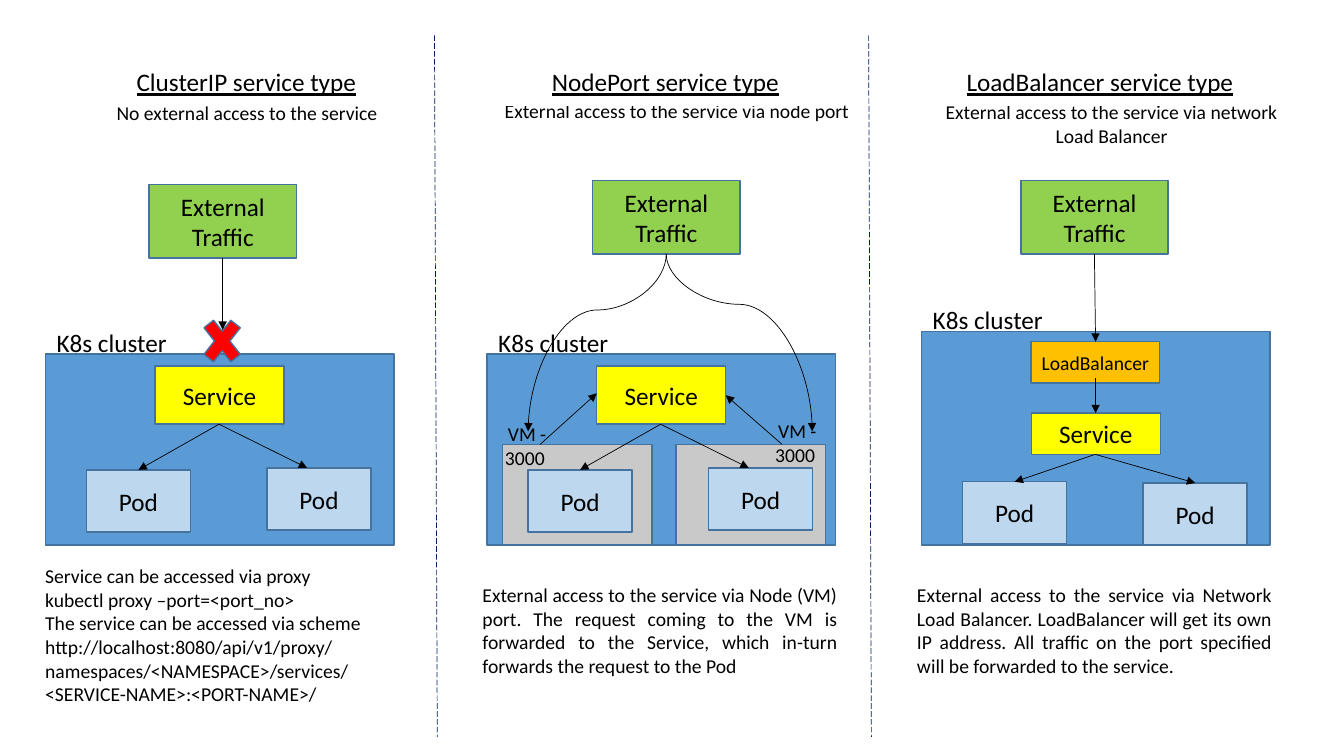
from lxml.etree import SubElement
from pptx import Presentation
from pptx.dml.color import RGBColor
from pptx.enum.dml import MSO_LINE
from pptx.enum.shapes import MSO_CONNECTOR as Wire, MSO_SHAPE as Form
from pptx.enum.text import MSO_ANCHOR as Anchor, PP_ALIGN as Align
from pptx.oxml.ns import qn
from pptx.util import Cm, Pt

HUES = {
    "white": "FFFFFF", "black": "000000", "edge": "43739E", "blue": "5B9BD5",
    "pale": "BDD7EE", "yellow": "FFFF00", "grey": "C9C9C9", "green": "92D050",
    "orange": "FFC000", "red": "FF0000", "navy": "002060",
}
SMALL, LARGE = 14, 18


def hue(name):
    return RGBColor.from_string(HUES[name])


def write(shape, lines, size, align=Align.CENTER, under=False):
    frame = shape.text_frame
    frame.word_wrap = True
    frame.vertical_anchor = Anchor.MIDDLE
    for i, line in enumerate(lines):
        para = frame.add_paragraph() if i else frame.paragraphs[0]
        para.text = line
        para.alignment = align
        font = para.font
        font.name, font.size = "Calibri", Pt(size)
        font.color.rgb = hue("black")
        if under:
            font.underline = True


def box(slide, area, fill, text="", size=LARGE, edge=True, form=Form.RECTANGLE):
    shape = slide.shapes.add_shape(form, *map(Cm, area))
    shape.shadow.inherit = False
    shape.fill.solid()
    shape.fill.fore_color.rgb = hue(fill)
    if edge:
        shape.line.color.rgb = hue("edge")
        shape.line.width = Pt(1)
    else:
        shape.line.fill.background()
    if text:
        write(shape, [text], size)
    return shape


def label(slide, area, text, size=LARGE):
    write(slide.shapes.add_textbox(*map(Cm, area)), [text], size)


def panel(slide, area, lines, size, align=Align.CENTER, under=False):
    """White text area without an outline."""
    write(box(slide, area, "white", edge=False), lines, size, align, under)


def link(slide, start, end, color="black", arrow=True, form=Wire.STRAIGHT):
    wire = slide.shapes.add_connector(form, *map(Cm, start + end))
    wire.line.color.rgb = hue(color)
    wire.line.width = Pt(0.5)
    props = wire.element.spPr
    if arrow:
        SubElement(props.find(qn("a:ln")), qn("a:tailEnd"), type="triangle")
    SubElement(props, qn("a:effectLst"))
    return wire


def curve(slide, start, end, bend):
    """Curved arrow that leaves and arrives vertically."""
    (x1, y1), (x2, y2) = start, end
    mid_x, mid_y = (x1 + x2) / 2, (y1 + y2) / 2
    half_w, half_h = (y2 - y1) / 2, abs(x2 - x1) / 2
    wire = link(slide, (mid_x - half_w, mid_y - half_h),
                (mid_x + half_w, mid_y + half_h), form=Wire.CURVE)
    props = wire.element.spPr
    frame = props.find(qn("a:xfrm"))
    right = x2 > x1
    frame.set("rot", str((270 if right else 90) * 60000))
    if right:
        frame.set("flipH", "1")
    guides = props.find(qn("a:prstGeom")).find(qn("a:avLst"))
    SubElement(guides, qn("a:gd"), name="adj1", fmla=f"val {bend}")


def divider(slide, x):
    wire = link(slide, (x, 0.89), (x + 0.07, 18.57), "navy", arrow=False)
    wire.line.dash_style = MSO_LINE.LONG_DASH


def head(slide, x, title, area, text):
    panel(slide, area, [text], SMALL)
    panel(slide, (x, 1.45, 8.2, 1.22), [title], LARGE, under=True)


def note(slide, x, y, lines):
    panel(slide, (x, y, 9.45, 3.56), lines, SMALL, Align.JUSTIFY)


def cluster(slide, x, y):
    box(slide, (x, y, 8.79, 13.74 - y), "blue")
    label(slide, (x, y - 0.93, 3.35, 1.27), "K8s cluster")


def service(slide, x, y, high, tops, reach):
    """Service with arrows to its two pods; reach is the right arrow's end."""
    box(slide, (x + 2.77, y, 3.25, high), "yellow", "Service")
    for left, top, tip in zip((1.04, 5.59), tops, (2.35, reach)):
        box(slide, (x + left, top, 2.62, 1.57), "pale", "Pod")
        link(slide, (x + 4.38, y + high), (x + tip, top))


def traffic(slide, x, y):
    box(slide, (x, y, 3.71, 1.85), "green", "External Traffic")


def cluster_ip(slide):
    head(slide, 2.11, "ClusterIP service type",
         (2.13, 2.24, 8.2, 1.22), "No external access to the service")
    cluster(slide, 1.14, 8.92)
    service(slide, 1.14, 9.22, 1.47, (11.84, 11.79), 6.6)
    box(slide, (4.95, 7.77, 1.3, 1.65), "red", form=Form.MATH_MULTIPLY)
    traffic(slide, 3.76, 4.65)
    link(slide, (5.61, 6.5), (5.61, 8.31))
    note(slide, 0.89, 14.22, [
        "Service can be accessed via proxy",
        "kubectl proxy –port=<port_no> ",
        "The service can be accessed via scheme ",
        "http://localhost:8080/api/v1/proxy/namespaces/<NAMESPACE>/services/"
        "<SERVICE-NAME>:<PORT-NAME>/",
    ])


def node_port(slide):
    head(slide, 12.67, "NodePort service type", (12.34, 2.18, 9.45, 1.22),
         "External access to the service via node port")
    cluster(slide, 12.27, 8.92)
    for x in (12.67, 17.04):
        box(slide, (x, 11.2, 3.76, 2.54), "grey")
    service(slide, 12.27, 9.22, 1.47, (11.84, 11.79), 6.6)
    for x, y in ((12.37, 10.59), (19.18, 10.52)):
        label(slide, (x, y, 1.83, 1.27), "VM - 3000 ", SMALL)
    traffic(slide, 14.94, 4.55)
    for x, bend in ((13.31, 31600), (20.47, 28400)):
        curve(slide, (16.79, 6.4), (x, 10.87), bend)
    link(slide, (13.61, 11.2), (15.04, 9.91))
    link(slide, (19.71, 11.2), (18.29, 9.96))
    note(slide, 11.91, 14.1, [
        "External access to the service via Node (VM) port. The request coming "
        "to the VM is forwarded to the Service, which in-turn forwards the "
        "request to the Pod"])


def balancer(slide):
    head(slide, 23.62, "LoadBalancer service type", (23.29, 2.51, 9.45, 1.22),
         "External access to the service via network Load Balancer")
    cluster(slide, 23.22, 8.35)
    service(slide, 23.22, 10.41, 1.04, (12.14, 12.17), 6.9)
    traffic(slide, 25.73, 4.55)
    box(slide, (25.98, 8.61, 3.25, 1.04), "orange", "LoadBalancer", SMALL)
    link(slide, (27.58, 6.4), (27.61, 8.61))
    link(slide, (27.61, 9.53), (27.61, 10.41))
    note(slide, 22.86, 14.1, [
        "External access to the service via Network Load Balancer. LoadBalancer "
        "will get its own IP address. All traffic on the port specified will be "
        "forwarded to the service."])


def main():
    deck = Presentation()
    deck.slide_width, deck.slide_height = Cm(33.87), Cm(19.05)
    slide = deck.slides.add_slide(deck.slide_layouts[6])
    cluster_ip(slide)
    node_port(slide)
    balancer(slide)
    for x in (10.95, 21.89):
        divider(slide, x)
    deck.save("out.pptx")


if __name__ == "__main__":
    main()
